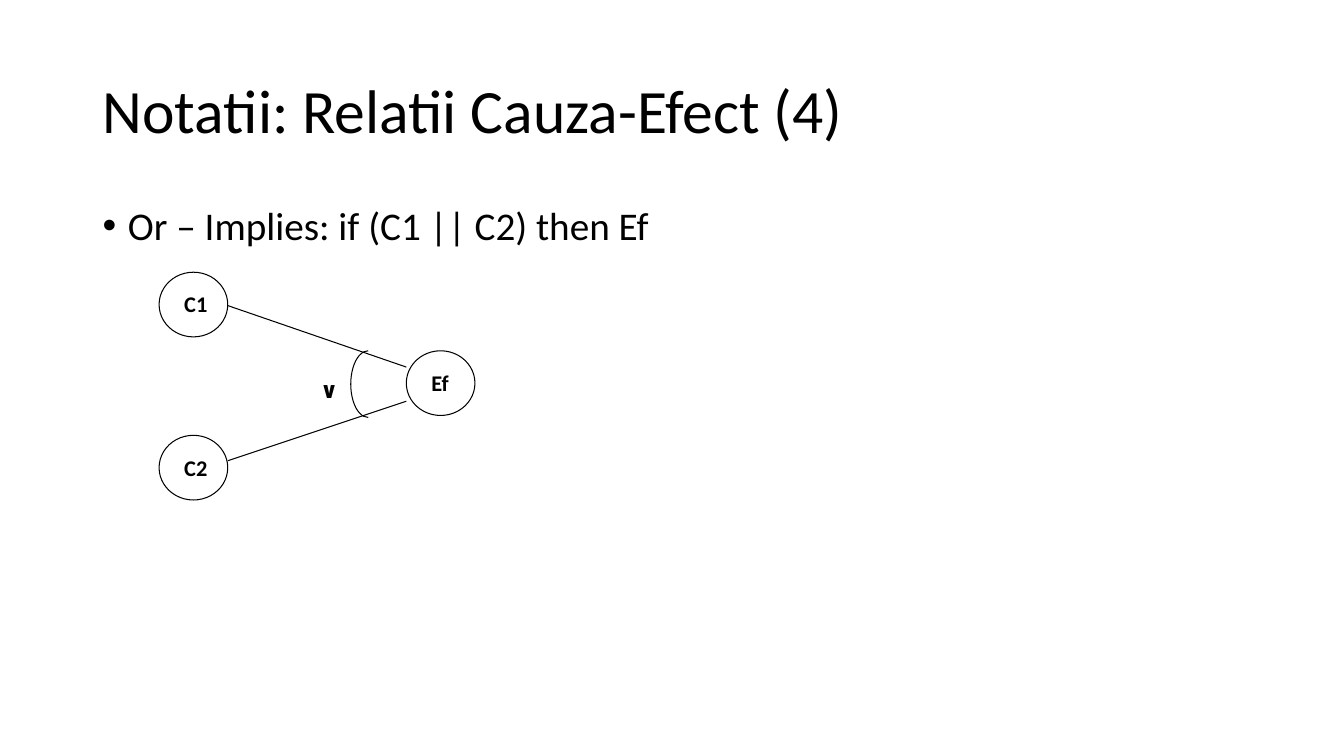
from dataclasses import dataclass, field

from lxml import etree
from pptx import Presentation, util as u
from pptx.dml.color import RGBColor
from pptx.enum import shapes, text
from pptx.oxml.ns import qn

BLACK, WHITE = "000000", "FFFFFF"
LABEL = {"size": u.Pt(16), "bold": True}
LABEL_SPACING = {"line_spacing": 1.15, "space_after": u.Pt(10),
                 "alignment": text.PP_ALIGN.LEFT}


@dataclass
class TextBlock:
    words: str
    top: float
    height: float
    size: float
    anchor: text.MSO_ANCHOR
    spacing: dict = field(default_factory=dict)
    bullet: str = ""


@dataclass
class Node:
    """A labelled shape of the cause-effect graph, in cm."""
    label: str
    left: float
    top: float
    width: float = 1.73
    height: float = 1.63
    kind: shapes.MSO_SHAPE = shapes.MSO_SHAPE.OVAL
    line: str = BLACK
    inset: float = 0.38


@dataclass
class Edge:
    x1: float
    y1: float
    x2: float
    y2: float


BLOCKS = [
    TextBlock("Notatii: Relatii Cauza-Efect (4)", 1.02, 3.68, 44,
              text.MSO_ANCHOR.MIDDLE),
    TextBlock("Or – Implies: if (C1 || C2) then Ef", 5.08, 12.09, 28,
              text.MSO_ANCHOR.TOP, {"space_before": u.Pt(10)}, "•"),
]
NODES = [
    Node("∨", 7.82, 9.25, 1.52, 1.22, shapes.MSO_SHAPE.RECTANGLE, WHITE, 0.25),
    Node("C1", 4.01, 6.86),
    Node("Ef", 10.24, 8.84),
    Node("C2", 4.01, 10.97),
]
EDGES = [Edge(5.74, 7.7, 10.24, 9.25), Edge(5.74, 11.61, 10.24, 10.11)]


def rgb(value: str) -> RGBColor:
    return RGBColor.from_string(value)


def set_attrs(target, values: dict) -> None:
    for name, value in values.items():
        setattr(target, name, value)


def write(tf, words: str, font: dict, spacing: dict):
    p = tf.paragraphs[0]
    set_attrs(p, spacing)
    r = p.add_run()
    r.text = words
    set_attrs(r.font, {"name": "Calibri", **font})
    r.font.color.rgb = rgb(BLACK)
    return p


def outline(sp, color: str = BLACK) -> None:
    sp.line.color.rgb = rgb(color)
    sp.line.width = u.Pt(0.75)


def add_block(s, block: TextBlock) -> None:
    sp = s.shapes.add_textbox(u.Cm(2.34), u.Cm(block.top), u.Cm(29.21), u.Cm(block.height))
    tf = sp.text_frame
    set_attrs(tf, {"word_wrap": True, "vertical_anchor": block.anchor})
    p = write(tf, block.words, {"size": u.Pt(block.size)},
              {"line_spacing": 0.9, **block.spacing})
    if block.bullet:
        props = p._p.get_or_add_pPr()
        props.set("marL", str(u.Cm(0.635)))
        props.set("indent", str(u.Cm(-0.635)))
        etree.SubElement(props, qn("a:buFont"), typeface="Arial")
        etree.SubElement(props, qn("a:buChar"), char=block.bullet)


def add_node(s, node: Node) -> None:
    sp = s.shapes.add_shape(node.kind, u.Cm(node.left), u.Cm(node.top),
                            u.Cm(node.width), u.Cm(node.height))
    sp.shadow.inherit = False
    sp.fill.solid()
    sp.fill.fore_color.rgb = rgb(WHITE)
    outline(sp, node.line)
    set_attrs(sp.text_frame, {"word_wrap": True, "margin_left": u.Cm(node.inset),
                              "margin_right": 0, "vertical_anchor": text.MSO_ANCHOR.TOP})
    write(sp.text_frame, node.label, LABEL, LABEL_SPACING)


def add_edge(s, edge: Edge) -> None:
    sp = s.shapes.add_connector(shapes.MSO_CONNECTOR.STRAIGHT, u.Cm(edge.x1), u.Cm(edge.y1),
                                u.Cm(edge.x2), u.Cm(edge.y2))
    outline(sp)
    etree.SubElement(sp._element.spPr, qn("a:effectLst"))


def add_or_arc(s) -> None:
    """Draw the left half of an ellipse across both edges."""
    sp = s.shapes.add_shape(shapes.MSO_SHAPE.ARC, u.Cm(8.84), u.Cm(8.84), u.Cm(0.88), u.Cm(1.68))
    sp.adjustments[0], sp.adjustments[1] = 54.0, 162.0
    sp.shadow.inherit = False
    sp.fill.background()
    outline(sp)


def main() -> None:
    prs = Presentation()
    set_attrs(prs, {"slide_width": u.Cm(33.87), "slide_height": u.Cm(19.05)})
    s = prs.slides.add_slide(prs.slide_layouts[6])
    for block in BLOCKS:
        add_block(s, block)
    for node in NODES:
        add_node(s, node)
    for edge in EDGES:
        add_edge(s, edge)
    add_or_arc(s)
    prs.save("out.pptx")


if __name__ == "__main__":
    main()
